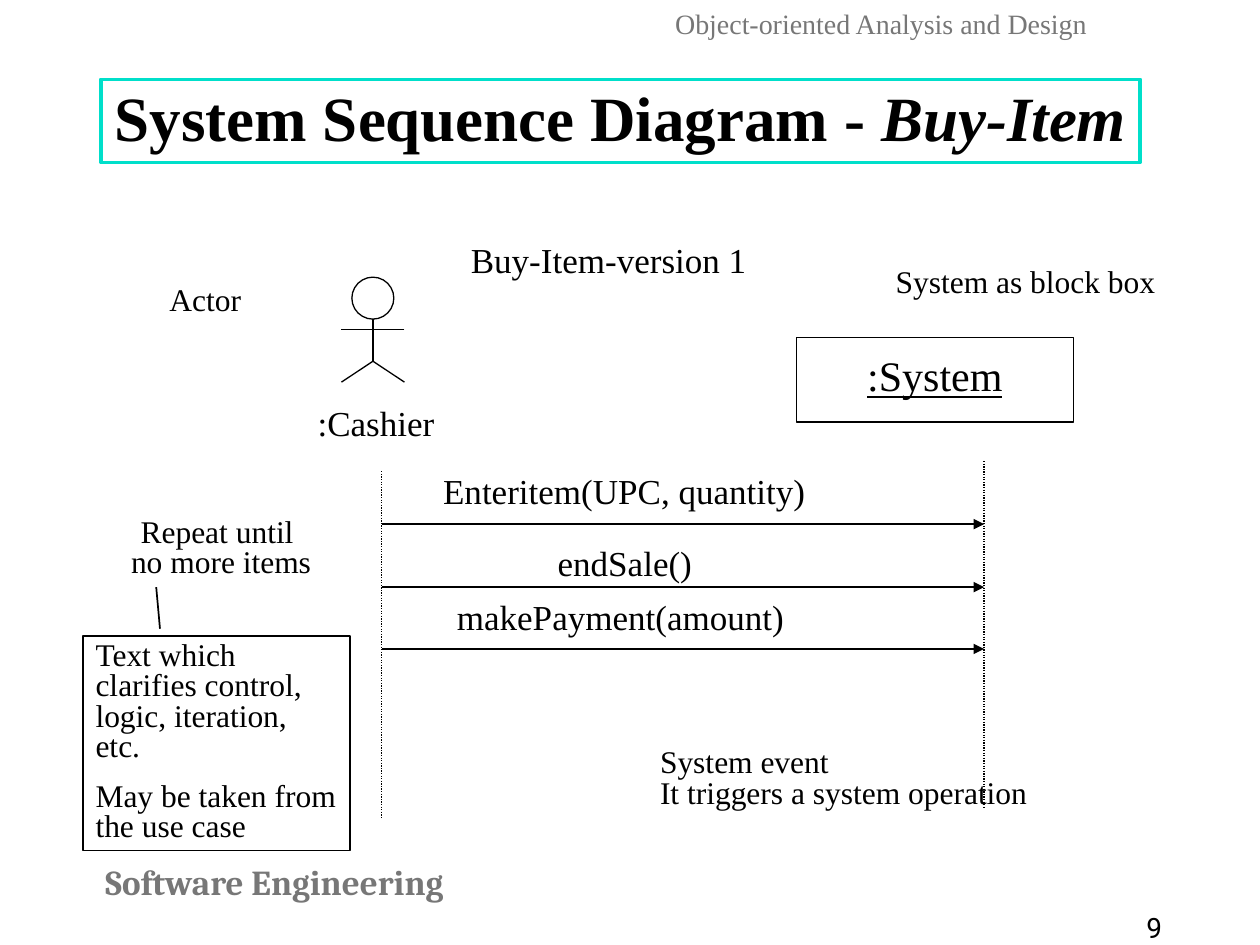
from lxml.etree import SubElement
from pptx import Presentation
from pptx.dml.color import RGBColor
from pptx.enum.dml import MSO_LINE_DASH_STYLE as Dash
from pptx.enum.shapes import MSO_CONNECTOR as Link, MSO_SHAPE as Shape
from pptx.enum.text import MSO_ANCHOR as Anchor, MSO_AUTO_SIZE as Fit, PP_ALIGN as Align
from pptx.oxml.ns import qn
from pptx.util import Inches, Pt

BLACK, GREY, WHITE, TEAL = "000000", "777777", "FFFFFF", "00DFCA"
COLUMNS, ROWS = 100, 75


def color(value):
    return RGBColor.from_string(value)


def write(shape, paragraphs, size=18, font="Times New Roman", ink=BLACK, bold=False,
          underline=False, align=Align.CENTER, anchor=Anchor.MIDDLE, wrap=False,
          spacing=0.8, before=0):
    frame = shape.text_frame
    frame.auto_size, frame.word_wrap = Fit.NONE, wrap
    frame.vertical_anchor = anchor
    frame.margin_left = frame.margin_right = Inches(0.1)
    frame.margin_top = frame.margin_bottom = Inches(0.05)
    for index, spans in enumerate(paragraphs):
        para = frame.add_paragraph() if index else frame.paragraphs[0]
        para.alignment, para.line_spacing, para.space_before = align, spacing, Pt(before)
        for text, italic in [(spans, False)] if isinstance(spans, str) else spans:
            span = para.add_run()
            span.text = text
            style = span.font
            style.name, style.size, style.bold = font, Pt(size), bold
            style.italic, style.underline = italic, underline
            style.color.rgb = color(ink)


class Diagram:
    def __init__(self, deck):
        self.page = deck.slides.add_slide(deck.slide_layouts[5])
        self.column = deck.slide_width / COLUMNS
        self.row = deck.slide_height / ROWS
        self.weight = 0.75

    def scale(self, *cells):
        return [round(cell * (self.row if index % 2 else self.column))
                for index, cell in enumerate(cells)]

    def title(self, area, spans):
        box = self.page.shapes.title
        box.left, box.top, box.width, box.height = self.scale(*area)
        box.fill.solid()
        box.fill.fore_color.rgb = color(WHITE)
        box.line.color.rgb, box.line.width = color(TEAL), Pt(2)
        write(box, [spans], size=36, bold=True, spacing=0.9)

    def label(self, area, *paragraphs, **style):
        box = self.page.shapes.add_textbox(*self.scale(*area))
        write(box, paragraphs, **style)

    def outline(self, kind, area, *paragraphs, parent=None, weight=None, **style):
        shape = (parent or self.page).shapes.add_shape(kind, *self.scale(*area))
        shape.shadow.inherit = False
        shape.fill.background()
        shape.line.color.rgb, shape.line.width = color(BLACK), Pt(weight or self.weight)
        write(shape, paragraphs, **style)

    def line(self, *ends, parent=None, weight=None, dash=None, arrow=False):
        link = (parent or self.page).shapes.add_connector(Link.STRAIGHT, *self.scale(*ends))
        link.line.color.rgb, link.line.width = color(BLACK), Pt(weight or self.weight)
        if dash:
            link.line.dash_style = dash
        if arrow:
            SubElement(link.line._get_or_add_ln(), qn("a:tailEnd"),
                       type="triangle", w="med", len="med")
        SubElement(link._element.spPr, qn("a:effectLst"))

    def actor(self, center, top):
        figure = self.page.shapes.add_group_shape()
        self.outline(Shape.OVAL, (center - 1.67, top, 3.33, 3.33), parent=figure)
        neck, arms, hips, feet = top + 3.33, top + 4.17, top + 6.67, top + 8.33
        left, right = center - 2.5, center + 2.5
        for ends in ((right, arms, left, arms), (center, hips, center, neck),
                     (left, feet, center, hips), (center, hips, right, feet)):
            self.line(*ends, parent=figure)


deck = Presentation()
deck.slide_width, deck.slide_height = Inches(10), Inches(7.5)
diagram = Diagram(deck)

diagram.title((8, 6.3, 82.5, 6.6), [("System Sequence Diagram - ", False), ("Buy-Item", True)])
diagram.label((52.6, 0, 34.8, 3.6), "Object-oriented Analysis and Design",
              size=16, ink=GREY, align=Align.LEFT, anchor=Anchor.TOP, spacing=1)
diagram.label((5.8, 67.8, 32, 4.3), "Software Engineering", size=20, font="Cambria",
              ink=GREY, bold=True, anchor=Anchor.TOP, spacing=1)
diagram.label((90, 71.8, 12.9, 4), "9", size=16, font="Roboto", align=Align.LEFT,
              anchor=Anchor.TOP, wrap=True, spacing=1)

diagram.actor(29.6, 22)
diagram.label((24.2, 32, 11.3, 3.7), ":Cashier", size=20)
diagram.outline(Shape.RECTANGLE, (63.2, 26.8, 22, 6.7), ":System", size=24, underline=True)
diagram.label((36.4, 19.1, 24.5, 3.7), "Buy-Item-version 1 ", size=20)

cashier, system = 30.3, 78.1
for lifeline, top in ((cashier, 37.4), (system, 36.6)):
    diagram.line(lifeline, top, lifeline, top + 27.5, dash=Dash.ROUND_DOT)

for message, area, level in (
        ("Enteritem(UPC, quantity)", (34.2, 37.4, 30.7, 3.7), 41.6),
        ("endSale()", (43.3, 43.1, 12.6, 3.7), 46.6),
        ("makePayment(amount)", (35.3, 47.4, 27.9, 3.7), 51.5)):
    diagram.line(cashier, level, system, level, arrow=True)
    diagram.label(area, message, size=20)

diagram.label((11.3, 22.3, 10, 3.4), "Actor")
diagram.label((70.1, 20.9, 23.4, 3.4), "System as block box", align=Align.LEFT, wrap=True)
diagram.label((9.4, 40.7, 16.3, 5.8), "Repeat until ", "no more items")
diagram.label((51.4, 59, 31.7, 5.8), "System event ", "It triggers a system operation",
              align=Align.LEFT, wrap=True)
diagram.outline(Shape.RECTANGLE, (6.6, 50.5, 21.2, 17),
                "Text which clarifies control, logic, iteration, etc.",
                "May be taken from the use case", weight=1, align=Align.LEFT,
                anchor=Anchor.TOP, wrap=True, before=11.2)
diagram.line(12.4, 46.6, 12.7, 49.9, weight=1)

deck.save("out.pptx")
